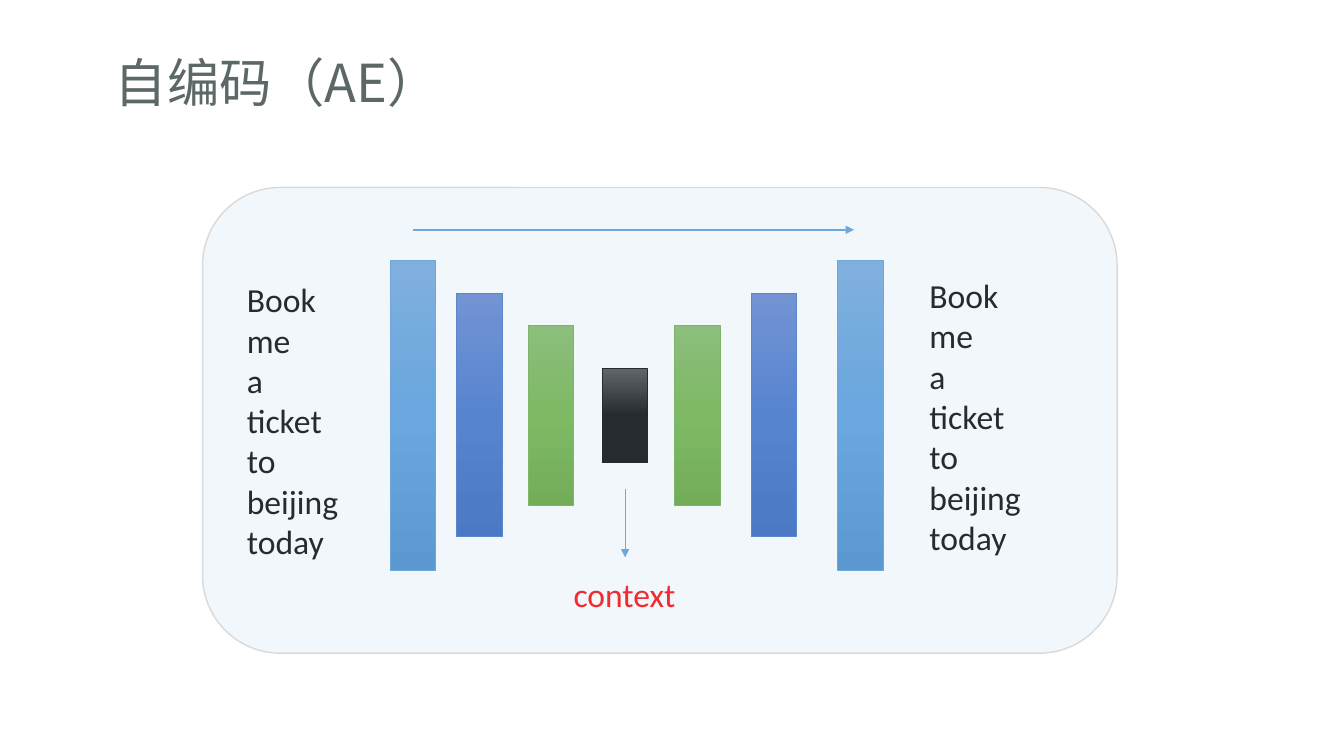
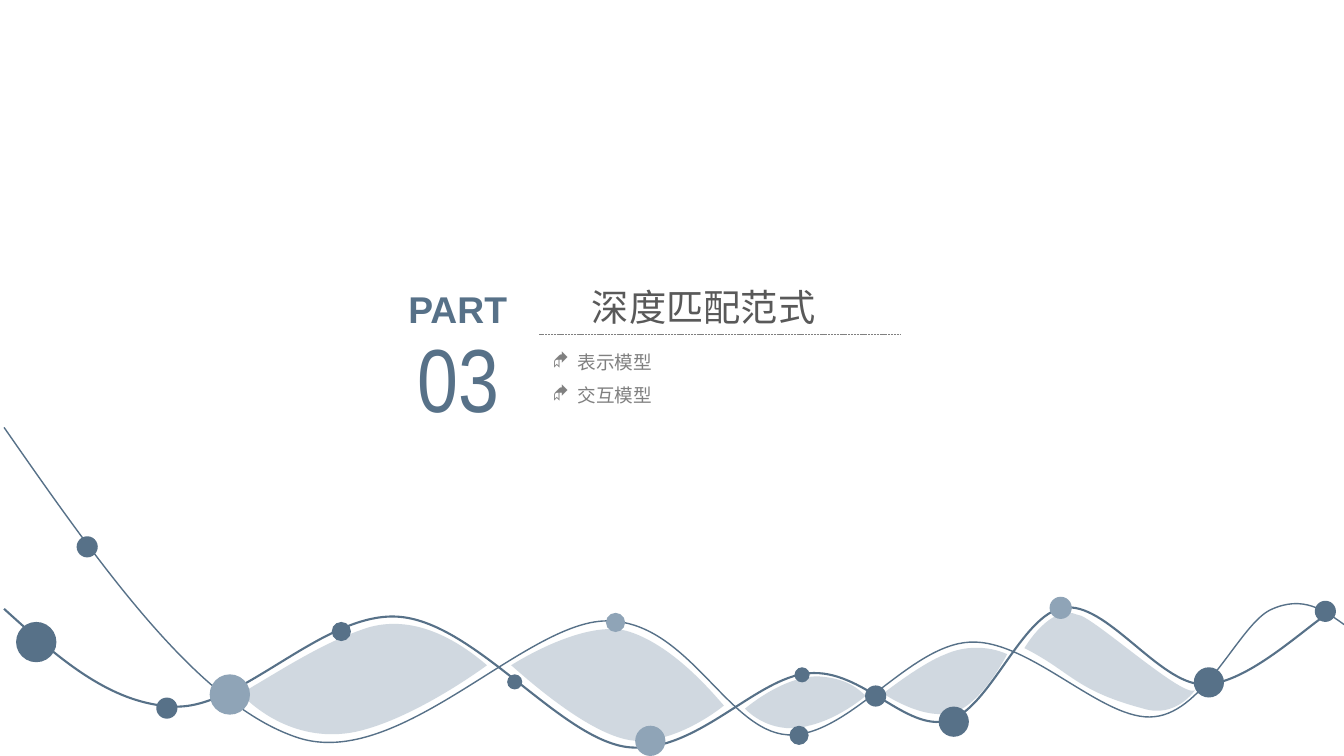
from copy import deepcopy

from lxml.etree import SubElement
from pptx import Presentation
from pptx.dml.color import RGBColor
from pptx.enum.dml import MSO_LINE
from pptx.enum.shapes import MSO_CONNECTOR, MSO_SHAPE
from pptx.enum.text import MSO_AUTO_SIZE, PP_ALIGN
from pptx.oxml.ns import qn
from pptx.util import Inches, Pt

CJK_FONT = "Noto Sans CJK SC"
NAVY, MIST, GREY, SKY = "577188", "8FA4B7", "808080", "5B9BD5"
PART_INSETS = (0.13, 0.07)

SENTENCE = "Book me a ticket to beijing today".split()
LAYERS = {
    "input": (3.07, SKY, ("71A6DB", "559BDB", "448ACA")),
    "outer": (2.41, "4472C4", ("6183CB", "3E70CA", "3062BB")),
    "inner": (1.78, "70AD47", ("81B861", "6FB242", "62A336")),
    "code": (0.94, "000000", ("4B4B4B", "000000", "000000")),
}
BARS = [(1.86, "input"), (2.52, "outer"), (3.23, "inner"), (3.96, "code"),
        (4.68, "inner"), (5.44, "outer"), (6.3, "input")]

LEAVES = [
    [(2.39, 2.88), (2.77, 2.66), (3.16, 2.4), (3.58, 2.25), (3.84, 2.15), (4.27, 2.12), (4.83, 2.6),
     (4.83, 2.6), (4.12, 3.13), (3.53, 3.26), (2.95, 3.38), (2.52, 3.03), (2.39, 2.88)],
    [(5.07, 2.6), (5.07, 2.6), (5.81, 2.12), (6.25, 2.27), (6.7, 2.42), (7.09, 2.9), (7.18, 3),
     (7.18, 3), (6.76, 3.35), (6.33, 3.35), (5.94, 3.35), (5.33, 2.83), (5.07, 2.6)],
    [(7.39, 3.03), (7.39, 3.03), (7.76, 2.71), (8.11, 2.71), (8.46, 2.73), (8.54, 2.88), (8.59, 2.9),
     (8.59, 2.9), (8.33, 3.13), (8.02, 3.2), (7.7, 3.29), (7.46, 3.11), (7.39, 3.03)],
    [(8.76, 2.88), (8.76, 2.88), (9.14, 2.58), (9.38, 2.49), (9.56, 2.41), (9.79, 2.4), (9.99, 2.49),
     (9.99, 2.49), (9.73, 3), (9.45, 3.07), (9.15, 3.15), (8.76, 2.88), (8.76, 2.88)],
    [(10.16, 2.43), (10.16, 2.43), (10.42, 1.98), (10.69, 2.1), (10.82, 2.1), (11.72, 2.92),
     (11.85, 2.85), (11.85, 2.85), (11.66, 3.13), (11.34, 3.03), (10.66, 2.85), (10.62, 2.66),
     (10.16, 2.43)],
]
THICK_STRAND = [
    (0.04, 2.04), (0.57, 2.52), (1.1, 3), (1.75, 3.01), (2.41, 3.02), (3.23, 2.05), (3.97, 2.12),
    (4.72, 2.19), (5.54, 3.31), (6.21, 3.41), (6.89, 3.5), (7.49, 2.72), (8.02, 2.68),
    (8.55, 2.63), (8.98, 3.26), (9.4, 3.15), (9.82, 3.04), (10.13, 2.09), (10.55, 2.03),
    (10.97, 1.96), (11.49, 2.78), (11.93, 2.79), (12.37, 2.8), (12.98, 2.19), (13.2, 2.07)]
THIN_STRAND = [
    (0.04, 0.24), (1, 1.62), (1.97, 3), (2.96, 3.32), (3.96, 3.64), (5.2, 2.17), (6.01, 2.16),
    (6.82, 2.15), (7.21, 3.25), (7.81, 3.29), (8.41, 3.32), (9.01, 2.4), (9.62, 2.37),
    (10.22, 2.34), (10.95, 3.17), (11.45, 3.11), (11.95, 3.06), (12.29, 2.2), (12.6, 2.05),
    (12.92, 1.9), (13.13, 2.05), (13.35, 2.21)]
THICK_BEADS = [
    (1.55, 2.92, 0.21, NAVY), (0.16, 2.17, 0.4, NAVY), (3.29, 2.17, 0.19, NAVY),
    (5.03, 2.69, 0.15, NAVY), (6.3, 3.2, 0.3, MIST), (7.88, 2.62, 0.15, NAVY),
    (9.31, 3.01, 0.3, NAVY), (10.41, 1.92, 0.22, MIST), (11.84, 2.62, 0.3, NAVY)]
THIN_BEADS = [
    (0.76, 1.32, 0.21, NAVY), (2.08, 2.69, 0.4, MIST), (6.01, 2.08, 0.19, MIST),
    (7.83, 3.2, 0.19, NAVY), (8.58, 2.8, 0.21, NAVY), (13.04, 1.96, 0.21, NAVY)]
STRANDS = [(THICK_STRAND, 1.5, THICK_BEADS), (THIN_STRAND, 1, THIN_BEADS)]


def paint(colour_format, colour):
    """Apply a hex colour."""
    colour_format.rgb = RGBColor.from_string(colour)


def fill_shape(shape, colour, alpha=None):
    """Give a shape a solid fill, optionally with an opacity in percent."""
    shape.fill.solid()
    paint(shape.fill.fore_color, colour)
    if alpha is not None:
        element = shape._element.spPr.find(qn("a:solidFill")).find(qn("a:srgbClr"))
        SubElement(element, qn("a:alpha"), val=str(alpha * 1000))


def outline(line, colour, width):
    """Set the colour and width of a line."""
    paint(line.color, colour)
    line.width = Pt(width)


def add_preset(shapes, preset, box):
    """Add a preset shape without shadow."""
    shape = shapes.add_shape(preset, *map(Inches, box))
    shape.shadow.inherit = False
    return shape


def add_text(slide, box, lines, size, colour, font, insets=(0.1, 0.05), align=None, bold=None):
    """Add a text box with one paragraph per line."""
    frame = slide.shapes.add_textbox(*map(Inches, box)).text_frame
    frame.word_wrap = True
    frame.auto_size = MSO_AUTO_SIZE.SHAPE_TO_FIT_TEXT
    frame.margin_left = frame.margin_right = Inches(insets[0])
    frame.margin_top = frame.margin_bottom = Inches(insets[1])
    frame.text = "\n".join(lines)
    for paragraph in frame.paragraphs:
        paragraph.alignment = align
        paragraph.font.size = Pt(size)
        paragraph.font.name = font
        paragraph.font.bold = bold
        paint(paragraph.font.color, colour)
        SubElement(paragraph._p.pPr.find(qn("a:defRPr")), qn("a:ea"), typeface=CJK_FONT)
    return frame


def add_bullets(frame, symbol, indent):
    """Turn the paragraphs of a frame into a bulleted list."""
    for paragraph in frame.paragraphs:
        paragraph.line_spacing = 1.5
        properties = paragraph._p.pPr
        properties.set("marL", str(Inches(indent)))
        properties.set("indent", str(-Inches(indent)))
        font = SubElement(properties, qn("a:buFont"), typeface="Wingdings")
        bullet = SubElement(properties, qn("a:buChar"), char=symbol)
        for element in (font, bullet):
            properties.find(qn("a:defRPr")).addprevious(element)


def add_line(slide, start, end, colour, width, arrow=False):
    """Add a straight line, optionally ending in an arrowhead."""
    connector = slide.shapes.add_connector(MSO_CONNECTOR.STRAIGHT, *map(Inches, start + end))
    outline(connector.line, colour, width)
    if arrow:
        SubElement(connector.line._get_or_add_ln(), qn("a:tailEnd"), type="triangle")
    SubElement(connector._element.spPr, qn("a:effectLst"))
    return connector


def add_curve(shapes, left, top, points, close):
    """Add a chain of cubic curves, given as anchors and control points."""
    vertices = [(Inches(left + x), Inches(top + y)) for x, y in points]
    frame = vertices if close else vertices[::3]
    builder = shapes.build_freeform(*frame[0])
    builder.add_line_segments(frame[1:], close=close)
    shape = builder.convert_to_shape()
    shape.shadow.inherit = False
    route = next(shape._element.iter(qn("a:path")))
    for segment in route.findall(qn("a:lnTo")):
        route.remove(segment)
    for index in range(1, len(vertices), 3):
        curve = SubElement(route, qn("a:cubicBezTo"))
        for x, y in vertices[index:index + 3]:
            SubElement(curve, qn("a:pt"), x=str(x - shape.left), y=str(y - shape.top))
    for closing in route.findall(qn("a:close")):
        route.append(closing)
    return shape


def add_bar(slide, left, middle, layer):
    """Add one gradient layer bar centred on a horizontal axis."""
    height, edge, stops = LAYERS[layer]
    bar = add_preset(slide.shapes, MSO_SHAPE.RECTANGLE, (left, middle - height / 2, 0.45, height))
    bar.fill.gradient()
    bar.fill.gradient_angle = 270
    stop_list = bar._element.spPr.find(qn("a:gradFill")).find(qn("a:gsLst"))
    stop_list.append(deepcopy(stop_list[0]))
    for stop, colour, position in zip(bar.fill.gradient_stops, stops, (0, 0.5, 1)):
        paint(stop.color, colour)
        stop.position = position
    outline(bar.line, edge, 0.5)


def add_autoencoder(slide, box):
    """Draw the autoencoder with its sentence, layers, arrows and tinted panel."""
    left, top = box[:2]
    for x, y in ((0.34, 0.86), (7.11, 0.82)):
        add_text(slide, (left + x, top + y, 1.29, 2.93), SENTENCE, 24, "000000", "Calibri")
    for x, layer in BARS:
        add_bar(slide, left + x, top + 2.26, layer)
    add_line(slide, (left + 2.09, top + 0.42), (left + 6.46, top + 0.42), SKY, 1, arrow=True)
    add_line(slide, (left + 4.19, top + 2.99), (left + 4.19, top + 3.67), SKY, 0.75, arrow=True)
    add_text(slide, (left + 3.58, top + 3.78, 1.46, 0.5), ["context"], 24, "FF0000", "Calibri")
    panel = add_preset(slide.shapes, MSO_SHAPE.ROUNDED_RECTANGLE, box)
    fill_shape(panel, "BDD7EE", alpha=20)
    outline(panel.line, "D9D9D9", 1)


def add_part_heading(slide, left, top):
    """Place the part number, its title, the rule and the topics."""
    add_text(slide, (left, top + 0.38, 2.12, 1.21), ["03"], 64, NAVY, "Arial Narrow",
             PART_INSETS, PP_ALIGN.CENTER)
    add_text(slide, (left + 1.27, top, 4.44, 0.58), ["深度匹配范式"], 26.6, "595959", "Arial",
             PART_INSETS, PP_ALIGN.CENTER)
    topics = add_text(slide, (left + 1.86, top + 0.55, 3.59, 0.77), ["表示模型", "交互模型"],
                      13.3, GREY, "Arial", PART_INSETS)
    add_bullets(topics, "◆", 0.25)
    add_text(slide, (left + 0.09, top + 0.02, 1.92, 0.58), ["PART"], 26.6, NAVY, "Arial",
             PART_INSETS, PP_ALIGN.CENTER, bold=True)
    rule = add_line(slide, (left + 1.86, top + 0.57), (left + 5.44, top + 0.57), GREY, 0.5)
    rule.line.dash_style = MSO_LINE.SQUARE_DOT


def add_wave_band(slide, left, top):
    """Draw the leaves, then the two strands with their beads."""
    leaves = slide.shapes.add_group_shape()
    for points in LEAVES:
        leaf = add_curve(leaves.shapes, left, top, points, close=True)
        fill_shape(leaf, MIST, alpha=42)
        leaf.line.fill.background()
    for points, width, beads in STRANDS:
        strand = add_curve(slide.shapes, left, top, points, close=False)
        strand.fill.background()
        outline(strand.line, NAVY, width)
        for x, y, size, colour in beads:
            bead = add_preset(slide.shapes, MSO_SHAPE.OVAL, (left + x, top + y, size, size))
            fill_shape(bead, colour)
            bead.line.fill.background()


def build_autoencoder_slide(slide):
    """Build the autoencoder slide."""
    add_text(slide, (0.97, 0.42, 6.22, 0.8), ["自编码（AE）"], 37.4, "5C6767", CJK_FONT, (0.17, 0.08))
    add_autoencoder(slide, (2.01, 1.86, 9.07, 4.62))


def build_part_slide(slide):
    """Build the section slide."""
    add_part_heading(slide, 3.49, 2.75)
    add_wave_band(slide, 0, 4)


def main():
    """Build and save the presentation."""
    presentation = Presentation()
    presentation.slide_width, presentation.slide_height = Inches(13.33), Inches(7.5)
    for build in (build_autoencoder_slide, build_part_slide):
        build(presentation.slides.add_slide(presentation.slide_layouts[6]))
    presentation.save("out.pptx")


if __name__ == "__main__":
    main()
